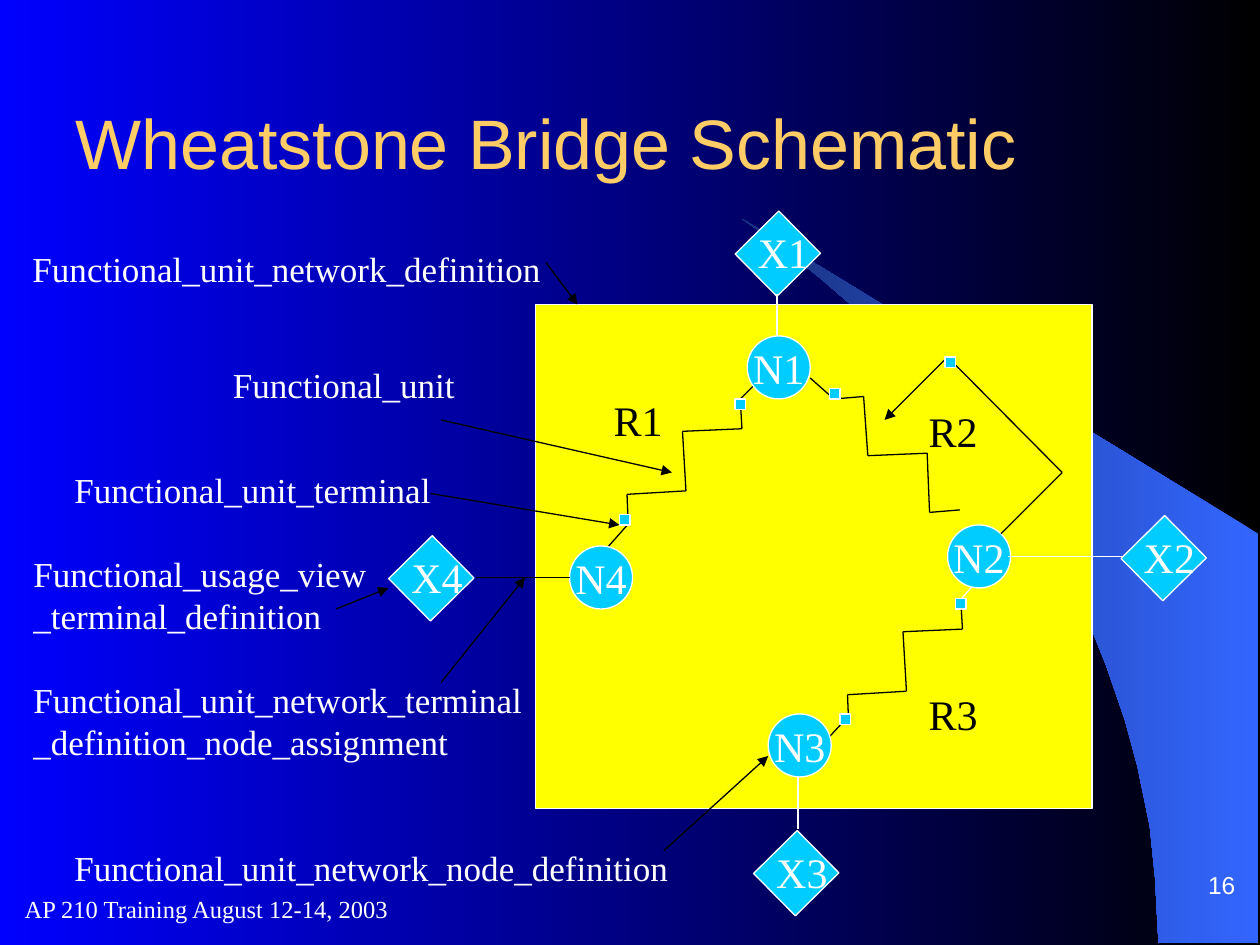
from itertools import pairwise

from lxml import etree
from pptx import Presentation
from pptx.dml.color import RGBColor
from pptx.enum.shapes import MSO_CONNECTOR, MSO_SHAPE
from pptx.enum.text import MSO_ANCHOR, MSO_AUTO_SIZE, PP_ALIGN
from pptx.oxml.ns import qn
from pptx.util import Pt

STRAIGHT = MSO_CONNECTOR.STRAIGHT
RECTANGLE = MSO_SHAPE.RECTANGLE
NODE = MSO_SHAPE.FLOWCHART_CONNECTOR
TOP, MIDDLE, BOTTOM = MSO_ANCHOR.TOP, MSO_ANCHOR.MIDDLE, MSO_ANCHOR.BOTTOM
LEFT, CENTER, RIGHT = PP_ALIGN.LEFT, PP_ALIGN.CENTER, PP_ALIGN.RIGHT
FIT = MSO_AUTO_SIZE.SHAPE_TO_FIT_TEXT

SERIF, SANS = "Times New Roman", "Arial"
BLACK, WHITE, CYAN, YELLOW = "000000", "FFFFFF", "00CCFF", "FFFF00"

SWOOSH = [(662, 539), (719, 539), (719, 305), (424, 125), (449, 143),
          (470, 160), (493, 180), (516, 202), (549, 238), (578, 276),
          (599, 310), (618, 345), (632, 380), (643, 412), (650, 438),
          (657, 472), (660, 501), (662, 539)]

# Resistor outlines, relative to their first end
RISING = [(0, 0), (-0.7, -17), (33, -19), (31, -53), (65, -54.5), (64, -71.5)]
FALLING = [(0, 0), (17, -1.4), (19.4, 32.4), (53.3, 31), (54.7, 64.8), (72, 63.4)]


def color(value):
    return RGBColor.from_string(value)


def set_gradient(fill, start, end):
    fill.gradient()
    fill.gradient_angle = 180
    for stop, value in zip(fill.gradient_stops, (start, end)):
        stop.color.rgb = color(value)


def write(shape, text, size, font, ink, align=LEFT, anchor=TOP, wrap=False):
    frame = shape.text_frame
    frame.text = text
    frame.word_wrap = wrap
    frame.vertical_anchor = anchor
    for paragraph in frame.paragraphs:
        paragraph.alignment = align
        paragraph.font.size = Pt(size)
        paragraph.font.name = font
        paragraph.font.color.rgb = color(ink)


def add_label(slide, text, left, top, width, height=32, size=20, ink=WHITE,
              font=SERIF, fit=True, **layout):
    label = slide.shapes.add_textbox(Pt(left), Pt(top), Pt(width), Pt(height))
    write(label, text, size, font, ink, **layout)
    if fit:
        label.text_frame.auto_size = FIT
    return label


def add_block(slide, kind, left, top, width, height, fill):
    block = slide.shapes.add_shape(kind, Pt(left), Pt(top), Pt(width), Pt(height))
    block.shadow.inherit = False
    block.fill.solid()
    block.fill.fore_color.rgb = color(fill)
    block.line.color.rgb = color(WHITE)
    block.line.width = Pt(0.75)
    return block


def add_wire(slide, start, end, ink=BLACK, arrow=False):
    wire = slide.shapes.add_connector(STRAIGHT, *map(Pt, start + end))
    wire.line.color.rgb = color(ink)
    wire.line.width = Pt(0.75)
    if arrow:
        etree.SubElement(wire.line._get_or_add_ln(), qn("a:tailEnd"), type="triangle")
    etree.SubElement(wire._element.spPr, qn("a:effectLst"))


def add_chain(slide, points, arrow=False):
    for start, end in pairwise(points):
        add_wire(slide, start, end, arrow=arrow and end == points[-1])


def add_resistor(slide, outline, left, top):
    add_chain(slide, [(left + x, top + y) for x, y in outline])


def add_node(slide, name, left, top):
    node = add_block(slide, NODE, left, top, 36, 36, CYAN)
    write(node, name, 24, SERIF, WHITE, CENTER, MIDDLE)


def add_port(slide, name, left, top):
    diamond = add_block(slide, RECTANGLE, left, top, 34, 35, CYAN)
    diamond.rotation = 45.4
    add_label(slide, name, left - 1.5, top - 1.5, 44, 36, size=24)


def add_swoosh(slide):
    builder = slide.shapes.build_freeform(*map(Pt, SWOOSH[0]))
    builder.add_line_segments([(Pt(x), Pt(y)) for x, y in SWOOSH[1:]])
    swoosh = builder.convert_to_shape()
    swoosh.shadow.inherit = False
    set_gradient(swoosh.fill, "3366FF", "19327E")
    swoosh.line.fill.background()


def add_title(slide):
    title = slide.shapes.title
    title.left, title.top, title.width, title.height = map(Pt, (36, 36, 648, 90))
    write(title, "Wheatstone Bridge Schematic", 40, SANS, "FFCC66",
          anchor=MIDDLE, wrap=True)


def add_bridge(slide):
    add_block(slide, RECTANGLE, 306, 174, 318, 288, YELLOW)

    # Resistors and their leads
    add_resistor(slide, RISING, 359, 299.5)
    add_resistor(slide, RISING, 485, 414)
    add_resistor(slide, FALLING, 476.5, 228)
    add_wire(slide, (347, 313), (359, 299.5))
    add_wire(slide, (423, 228), (433.5, 217.5))
    add_wire(slide, (474, 421), (486, 408))
    add_wire(slide, (549.5, 342), (561, 329), WHITE)
    add_wire(slide, (463, 216), (476.5, 228))

    for name, left, top in [("N1", 427, 192), ("N2", 541.5, 300),
                            ("N3", 439, 408), ("N4", 325.5, 312)]:
        add_node(slide, name, left, top)
    for name, left, top in [("R1", 343.5, 222), ("R2", 523.5, 228),
                            ("R3", 523.5, 390)]:
        add_label(slide, name, left, top, 42.5, 36, size=24, ink=BLACK)

    # Variable leg from N2 to R2
    add_chain(slide, [(572, 305), (607, 270), (541.5, 204), (505.5, 240)], arrow=True)

    # Ports and the wires to their nodes
    for name, left, top in [("X1", 427.5, 127.5), ("X2", 648, 301.5),
                            ("X3", 438, 481.5), ("X4", 229.5, 313)]:
        add_port(slide, name, left, top)
    add_wire(slide, (272, 330), (325.5, 330))
    add_wire(slide, (444, 168), (444, 192), WHITE)
    add_wire(slide, (576, 318), (642, 318), WHITE)
    add_wire(slide, (456, 474), (456, 444), WHITE)

    # Resistor terminals
    for left, top in [(420, 228), (354, 294), (474, 222),
                      (540, 204), (546, 342), (480, 408)]:
        add_block(slide, RECTANGLE, left, top, 6, 6, CYAN)


def add_callouts(slide):
    # One-line boxes are a little wider than their text so that none breaks
    single = [
        ("Functional_unit_network_definition", 11.5, 138, 310,
         (312, 150), (330, 174)),
        ("Functional_unit", 126, 204, 147, (252, 240), (384, 270)),
        ("Functional_unit_terminal", 35.5, 264, 224, (246, 282), (354, 300)),
        ("Functional_unit_network_node_definition", 35.5, 480, 360,
         (379.5, 486), (439, 432)),
    ]
    double = [
        ("Functional_usage_view_terminal_definition", 12, 312, 210,
         (192, 348), (222, 336)),
        ("Functional_unit_network_terminal\v_definition_node_assignment",
         12, 384, 294, (252, 390), (300, 330)),
    ]
    for group, height, wrap in [(single, 32, False), (double, 55.5, True)]:
        for text, left, top, width, start, end in group:
            add_label(slide, text, left, top, width, height, wrap=wrap)
            add_wire(slide, start, end, arrow=True)


def add_footer(slide):
    add_label(slide, "AP 210 Training August 12-14, 2003", 7, 501, 336, 36,
              size=14, fit=False, anchor=MIDDLE, wrap=True)
    number = add_label(slide, "16", 565, 484, 148, 30, size=14, font=SANS,
                       fit=False, align=RIGHT, anchor=BOTTOM, wrap=True)
    number.text_frame.margin_top = number.text_frame.margin_bottom = 0


def main():
    deck = Presentation()
    deck.slide_width, deck.slide_height = Pt(720), Pt(540)
    slide = deck.slides.add_slide(deck.slide_layouts[5])
    set_gradient(slide.background.fill, BLACK, "0000FF")
    add_swoosh(slide)
    add_title(slide)
    add_bridge(slide)
    add_callouts(slide)
    add_footer(slide)
    deck.save("out.pptx")


if __name__ == "__main__":
    main()
